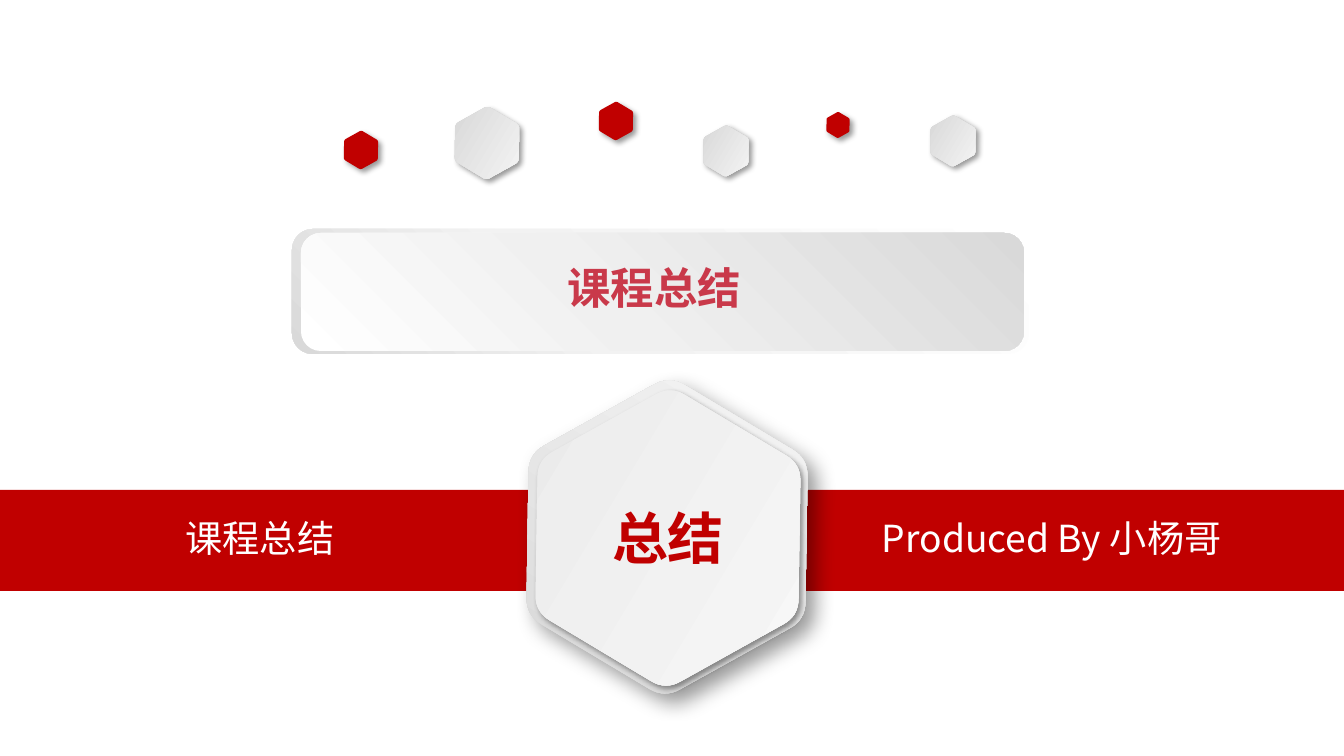
import math
from lxml import etree
from pptx import Presentation
from pptx.dml.color import RGBColor
from pptx.enum.shapes import MSO_SHAPE
from pptx.enum.text import MSO_ANCHOR, PP_ALIGN
from pptx.oxml import parse_xml
from pptx.util import Pt

RECT, ROUND = MSO_SHAPE.RECTANGLE, MSO_SHAPE.ROUNDED_RECTANGLE
MIDDLE = MSO_ANCHOR.MIDDLE
LEFT, CENTER = PP_ALIGN.LEFT, PP_ALIGN.CENTER
NS = "http://schemas.openxmlformats.org/drawingml/2006/main"
FONT = "Noto Sans CJK SC"
RED = "C00000"
PX = 12192000 / 1344


def px(n):
    return round(n * PX)


def paint(shape, fill, angle=0, blur=0, dist=0):
    shape.line.fill.background()
    shape.shadow.inherit = False
    props = shape.fill._xPr
    if isinstance(fill, str):
        shape.fill.solid()
        shape.fill.fore_color.rgb = RGBColor.from_string(fill)
    else:
        stops = "".join(
            f'<a:gs pos="{pos * 1000}"><a:srgbClr val="{tone}"/></a:gs>'
            for pos, tone in fill)
        grad = parse_xml(
            f'<a:gradFill xmlns:a="{NS}" rotWithShape="1"><a:gsLst>{stops}</a:gsLst>'
            f'<a:lin ang="{angle * 60000}" scaled="0"/></a:gradFill>')
        props.find(f"{{{NS}}}ln").addprevious(grad)
    if blur:
        props.find(f"{{{NS}}}effectLst").append(parse_xml(
            f'<a:outerShdw xmlns:a="{NS}" blurRad="{Pt(blur)}" dist="{Pt(dist)}" '
            f'dir="2700000" algn="tl" rotWithShape="0"><a:srgbClr val="000000">'
            f'<a:alpha val="40000"/></a:srgbClr></a:outerShdw>'))


deck = Presentation()
deck.slide_width, deck.slide_height = px(1344), px(756)
slide = deck.slides.add_slide(deck.slide_layouts[6])
shapes = slide.shapes

band = shapes.add_shape(RECT, 0, px(490), px(1344), px(101))
paint(band, RED)

grey = [(0, "D3D3D3"), (100, "F9F9F9")]
pale = [(0, "E9E9E9"), (100, "F9F9F9")]
hexes = [
    (487, 143, 64, grey, 0, 4, 3),
    (616, 121, 34, RED, 0, 4, 3),
    (361, 150, 34, RED, 0, 4, 3),
    (726, 151, 45, grey, 0, 4, 3),
    (838, 125, 23, RED, 0, 4, 3),
    (953, 141, 45, grey, 0, 4, 3),
    (667, 537, 279, grey, 270, 15, 9),
    (668, 538, 263, pale, 0, 4, 3),
]
for x, y, high, fill, angle, blur, dist in hexes:
    side = high / math.sqrt(3)
    tips = [(x + side * math.cos(math.radians(a)), y + side * math.sin(math.radians(a)))
            for a in range(0, 360, 60)]
    dots = []
    for i, tip in enumerate(tips):
        prev, post = tips[i - 1], tips[(i + 1) % 6]
        for step in range(9):
            t = step / 8
            dots.append(tuple(
                px(v + 0.11 * ((1 - t) ** 2 * (a - v) + t ** 2 * (b - v)))
                for v, a, b in zip(tip, prev, post)))
    path = shapes.build_freeform(*dots[0])
    path.add_line_segments(dots[1:], close=True)
    tile = path.convert_to_shape()
    tile.rotation = 30.9
    paint(tile, fill, angle, blur, dist)

plates = [
    (292, 229, 737, 125, 62, "F2F2F2", 135),
    (301, 233, 723, 118, 42, "F0F0F0", 315),
]
for x, y, wide, high, mid, tone, angle in plates:
    plate = shapes.add_shape(ROUND, px(x), px(y), px(wide), px(high))
    paint(plate, [(0, "FFFFFF"), (mid, tone), (100, "D9D9D9")], angle)

texts = [
    ("课程总结", 23, 510, 474, 55, 26.6, "FFFFFF", False, CENTER),
    ("Produced By 小杨哥", 872, 510, 471, 55, 26.6, "FFFFFF", False, LEFT),
    ("课程总结", 286, 256, 736, 62, 31, "C9394A", True, CENTER),
    ("总结", 536, 503, 264, 68, 40, RED, True, CENTER),
]
for words, x, y, wide, high, size, tone, bold, align in texts:
    box = shapes.add_textbox(px(x), px(y), px(wide), px(high))
    frame = box.text_frame
    frame.word_wrap = True
    frame.vertical_anchor = MIDDLE
    para = frame.paragraphs[0]
    para.text = words
    para.alignment = align
    font = para.font
    font.name, font.size, font.bold = FONT, Pt(size), bold
    font.color.rgb = RGBColor.from_string(tone)
    etree.SubElement(font._element, f"{{{NS}}}ea", typeface=FONT)

deck.save("out.pptx")
